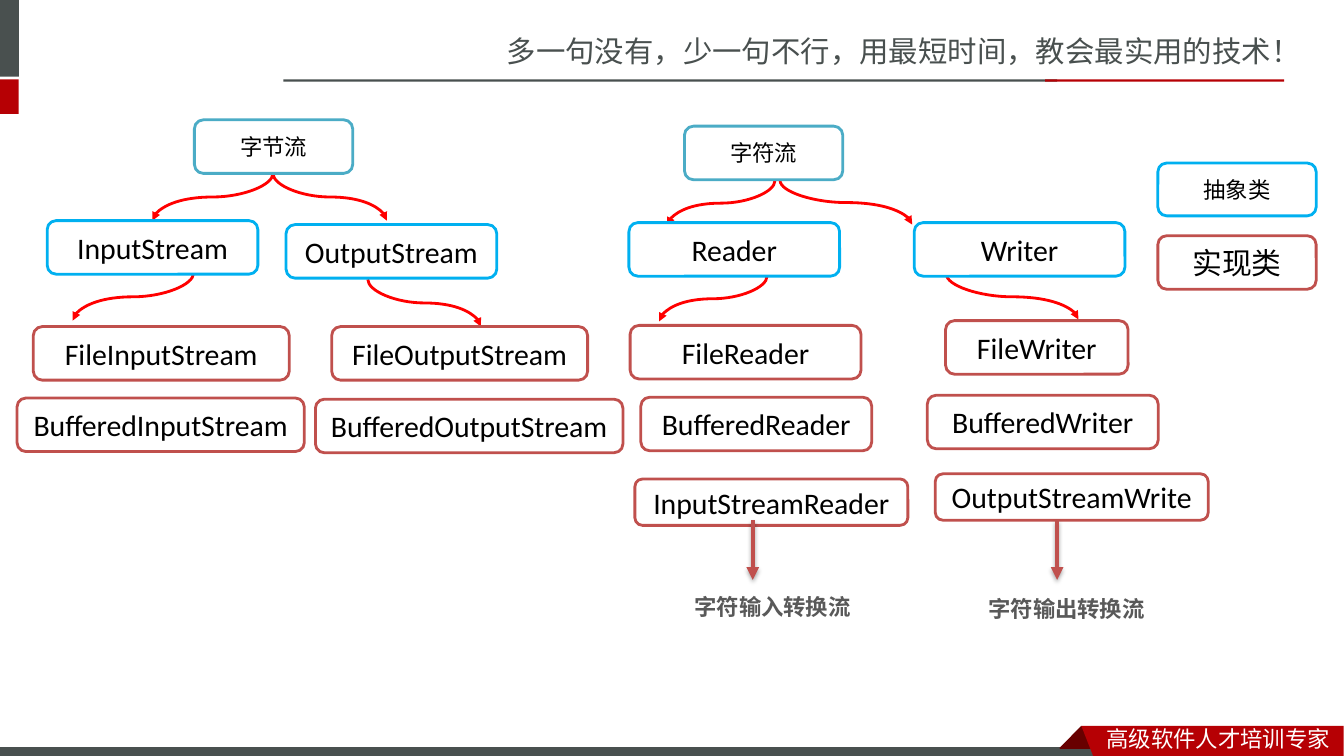
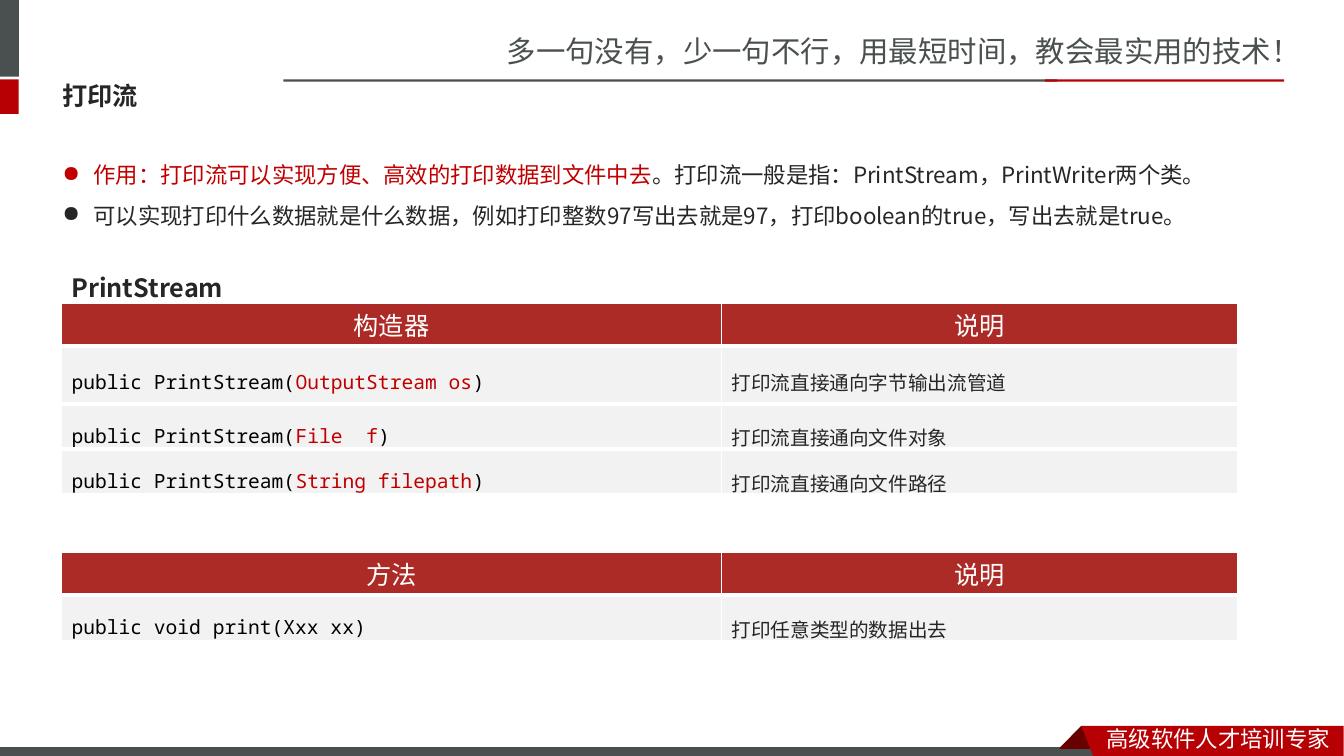
"""Build two slides on Java IO streams: a class map and the print stream tables."""
from lxml import etree
from pptx import Presentation
from pptx.dml.color import RGBColor
from pptx.enum import shapes as es, text as et
from pptx.oxml import ns
from pptx.util import Cm, Pt

WHITE = RGBColor(0xFF, 0xFF, 0xFF)
BLACK = RGBColor(0, 0, 0)
GREY = RGBColor(0x49, 0x50, 0x4F)
RED = RGBColor(0xB6, 0, 0x04)
FOLD = RGBColor(0x68, 0, 0)
TEAL = RGBColor(0x4B, 0xAC, 0xC6)
SKY = RGBColor(0, 0xB0, 0xF0)
BRICK = RGBColor(0xC0, 0x50, 0x4D)
ARROW = RGBColor(0xFF, 0, 0)
LABEL = RGBColor(0x59, 0x59, 0x59)
INK = RGBColor(0x26, 0x26, 0x26)
MARK = RGBColor(0xC0, 0, 0)
HEAD = RGBColor(0xAD, 0x2B, 0x26)
PALE = RGBColor(0xF2, 0xF2, 0xF2)

SANS, BODY, MONO = "Noto Sans CJK SC", "Noto Sans CJK JP", "Noto Sans Mono"
CENTER = et.PP_ALIGN.CENTER
MIDDLE = et.MSO_ANCHOR.MIDDLE

SLOGAN = "多一句没有，少一句不行，用最短时间，教会最实用的技术！"
FOOTER = "高级软件人才培训专家"
BARS = [
    ((-0.15, 0, 0.63, 1.93), GREY, None),
    ((-0.15, 2, 0.62, 0.87), RED, None),
    ((7.14, 2, 19.5, 0.06), GREY, None),
    ((26.34, 2, 6.02, 0.06), RED, None),
    ((-0.03, 18.82, 27.94, 0.3), GREY, WHITE),
]
RIBBON = [
    (FOLD, [(27.25, 18.29), (27.81, 18.85), (27.79, 18.87), (26.72, 18.87), (26.7, 18.85)]),
    (RED, [(27.25, 18.29), (33.86, 18.29), (33.86, 19.15), (27.58, 19.13)]),
]

GROUPS = [
    (TEAL, 16, 1.35, [("字节流", 4.9, 3.02, 3.99), ("字符流", 17.25, 3.18, 3.99)]),
    (SKY, 16, 1.33, [("抽象类", 29.18, 4.11, 3.99)]),
    (SKY, 21.3, 1.35, [
        ("InputStream", 1.19, 5.56, 5.31), ("OutputStream", 7.21, 5.66, 5.31),
        ("Reader", 15.85, 5.61, 5.31), ("Writer", 23.04, 5.61, 5.31)]),
    (BRICK, 21.3, 1.35, [
        ("实现类", 29.18, 5.94, 3.99),
        ("FileInputStream", 0.84, 8.23, 6.45), ("FileOutputStream", 8.36, 8.23, 6.45),
        ("FileReader", 15.88, 8.2, 5.82), ("FileWriter", 23.83, 8.08, 4.6),
        ("BufferedInputStream", 0.43, 10.03, 7.24),
        ("BufferedOutputStream", 7.95, 10.06, 7.75),
        ("BufferedReader", 16.15, 10.01, 5.82), ("BufferedWriter", 23.37, 9.96, 5.82)]),
    (BRICK, 21.3, 1.17, [
        ("InputStreamReader", 16, 12.07, 6.88), ("OutputStreamWrite", 23.57, 11.94, 6.88)]),
]
CURVES = [
    (6.88, 4.37, 3.84, 5.56), (6.88, 4.37, 9.75, 5.56),
    (19.53, 4.55, 16.81, 5.69), (19.66, 4.55, 22.99, 5.66),
    (4.88, 6.88, 1.83, 8.08), (9.27, 7.04, 12.12, 8.23),
    (19.33, 6.96, 16.61, 8.1), (23.85, 6.91, 27.18, 8.05),
]
NOTES = [("字符输入转换流", 17.25, 14.83, 18.97), ("字符输出转换流", 24.66, 14.88, 26.64)]

TITLE = "打印流"
POINTS = [
    [("作用：打印流可以实现方便、高效的打印数据到文件中去", MARK),
     "。打印流一般是指：PrintStream，PrintWriter两个类。"],
    ["可以实现打印什么数据就是什么数据，例如打印整数97写出去就是97，"
     "打印boolean的true，写出去就是true。"],
]
TABLES = [
    (7.62, [1.04, 1.45, 1.12, 1.12], "构造器", [
        (["public PrintStream(", ("OutputStream os", MARK), ")"], "打印流直接通向字节输出流管道"),
        (["public PrintStream(", ("File  f", MARK), ")"], "打印流直接通向文件对象"),
        (["public PrintStream(", ("String filepath", MARK), ")"], "打印流直接通向文件路径")]),
    (13.89, [1.04, 1.19], "方法", [
        (["public void print(Xxx xx)"], "打印任意类型的数据出去")]),
]
WIDTHS = [16.63, 13]


def node(root, tag, **attrs):
    """Append a drawing element."""
    return etree.SubElement(root, ns.qn(tag), attrs)


def write(frame, paras, size=16, face=SANS, color=INK, bold=False, align=None,
          space=None, dot=None, anchor=None, wrap=True):
    """Fill a text frame; a paragraph is a list of strings or (string, colour) pairs."""
    if wrap is not None:
        frame.word_wrap = wrap
    if anchor is not None:
        frame.vertical_anchor = anchor
    for i, runs in enumerate(paras):
        para = frame.add_paragraph() if i else frame.paragraphs[0]
        para.alignment = align
        if space:
            para.line_spacing = space
        if dot:
            props = para._p.get_or_add_pPr()
            props.set("marL", str(Cm(0.79)))
            props.set("indent", str(-Cm(0.79)))
            node(props, "a:buChar", char=dot)
        for part in runs:
            word, tint = part if isinstance(part, tuple) else (part, color)
            run = para.add_run()
            run.text = word
            font = run.font
            font.size, font.name, font.bold = Pt(size), face, bold
            font.color.rgb = tint
            node(run._r.get_or_add_rPr(), "a:ea", typeface=face)


def label(slide, words, spot, **form):
    """Add a text box."""
    box = slide.shapes.add_textbox(*map(Cm, spot))
    write(box.text_frame, [[words]], **form)
    return box


def paint(shape, fill, edge=None, width=0.75):
    """Set fill and line and drop the shadow."""
    shape.shadow.inherit = False
    shape.fill.solid()
    shape.fill.fore_color.rgb = fill
    if edge is None:
        shape.line.fill.background()
    else:
        shape.line.color.rgb = edge
        shape.line.width = Pt(width)
    return shape


def arrow(slide, kind, ends, color, width, turn=0, shade=False):
    """Add a connector with an arrowhead at its end."""
    link = slide.shapes.add_connector(kind, *map(Cm, ends))
    link.line.color.rgb = color
    link.line.width = Pt(width)
    props = link.element.spPr
    node(link.line._get_or_add_ln(), "a:tailEnd", type="triangle")
    if turn:
        props.find(ns.qn("a:xfrm")).set("rot", str(turn * 60000))
    glow = node(props, "a:effectLst")
    if shade:
        cast = node(glow, "a:outerShdw", blurRad="40000", dist="23000",
                    dir="5400000", rotWithShape="0")
        node(node(cast, "a:srgbClr", val="000000"), "a:alpha", val="35000")


def curve(slide, x1, y1, x2, y2):
    """Add a curve that leaves and arrives vertically."""
    cx, cy = (x1 + x2) / 2, (y1 + y2) / 2
    dx, dy = abs(x2 - x1) / 2, (y2 - y1) / 2
    side, turn = (1, 270) if x2 > x1 else (-1, 90)
    ends = cx + side * dy, cy - dx, cx - side * dy, cy + dx
    arrow(slide, es.MSO_CONNECTOR.CURVE, ends, ARROW, 2, turn)


def frame(deck, slide):
    """Build the shared bands, ribbon and slogan and move them to the master."""
    parts = [label(slide, SLOGAN, (12.52, 0.71, 21.36, 1.19), size=21, color=GREY)]
    for spot, fill, edge in BARS:
        bar = slide.shapes.add_shape(es.MSO_SHAPE.RECTANGLE, *map(Cm, spot))
        parts.append(paint(bar, fill, edge))
    for fill, dots in RIBBON:
        start, *rest = [(Cm(x), Cm(y)) for x, y in dots]
        path = slide.shapes.build_freeform(*start)
        path.add_line_segments(rest)
        parts.append(paint(path.convert_to_shape(), fill))
    parts.append(label(slide, FOOTER, (27.64, 18.16, 6.22, 0.94), color=WHITE, wrap=False))
    tree = deck.slide_master.shapes.element
    for i, part in enumerate(parts):
        part.element.nvSpPr.cNvPr.set("id", str(100 + i))
        tree.insert_element_before(part.element, "p:extLst")


def classes(slide):
    """Draw the class map."""
    for ends in CURVES:
        curve(slide, *ends)
    for edge, size, high, boxes in GROUPS:
        for name, x, y, wide in boxes:
            box = slide.shapes.add_shape(es.MSO_SHAPE.ROUNDED_RECTANGLE,
                                         *map(Cm, (x, y, wide, high)))
            paint(box, WHITE, edge, 2)
            write(box.text_frame, [[name]], size=size, face="Calibri", color=BLACK,
                  align=CENTER, anchor=MIDDLE, wrap=False)
    for words, x, y, mid in NOTES:
        label(slide, words, (x, y, 5.33, 0.94), face=BODY, color=LABEL, bold=True)
        arrow(slide, es.MSO_CONNECTOR.STRAIGHT, (mid, 13.11, mid, 14.61), BRICK, 3, shade=True)


def cell(box, runs, fill, **form):
    """Fill a table cell and give it white borders."""
    props = box._tc.get_or_add_tcPr()
    for side, width in zip("LRTB", (1, 1, 3, 3)):
        line = node(props, "a:ln" + side, w=str(Pt(width)))
        node(node(line, "a:solidFill"), "a:srgbClr", val=str(WHITE))
    box.fill.solid()
    box.fill.fore_color.rgb = fill
    box.vertical_anchor = MIDDLE
    write(box.text_frame, [runs], wrap=None, **form)


def grid(slide, top, highs, head, rows):
    """Add a two-column table with a red header."""
    spot = map(Cm, (1.55, top, sum(WIDTHS), sum(highs)))
    table = slide.shapes.add_table(len(highs), 2, *spot).table
    table.first_row = table.horz_banding = False
    for col, wide in zip(table.columns, WIDTHS):
        col.width = Cm(wide)
    for row, high in zip(table.rows, highs):
        row.height = Cm(high)
    for c, words in enumerate((head, "说明")):
        cell(table.cell(0, c), [words], HEAD, size=18, face="Arial", color=WHITE,
             align=CENTER, space=Pt(24))
    for r, (code, gloss) in enumerate(rows, 1):
        cell(table.cell(r, 0), code, PALE, size=14, face=MONO, color=BLACK, space=1.5)
        cell(table.cell(r, 1), [gloss], PALE, size=14, space=1.5)


def prints(slide):
    """Fill the print stream slide."""
    title = slide.shapes.title
    title.left, title.top, title.width, title.height = map(Cm, (1.32, 1.9, 5.5, 1.02))
    write(title.text_frame, [[TITLE]], size=18, face=BODY, bold=True,
          align=et.PP_ALIGN.LEFT, anchor=MIDDLE)
    body = slide.shapes.add_textbox(*map(Cm, (1.32, 3.05, 29.72, 3.4)))
    write(body.text_frame, POINTS, face=BODY, space=1.5, dot="●", anchor=MIDDLE)
    label(slide, "PrintStream", (1.55, 6.35, 16.94, 1.3), size=18, face=BODY,
          bold=True, space=1.5)
    for table in TABLES:
        grid(slide, *table)


def main():
    """Build and save the deck."""
    deck = Presentation()
    deck.slide_width, deck.slide_height = Cm(33.87), Cm(19.05)
    first = deck.slides.add_slide(deck.slide_layouts[6])
    frame(deck, first)
    classes(first)
    prints(deck.slides.add_slide(deck.slide_layouts[5]))
    deck.save("out.pptx")


if __name__ == "__main__":
    main()
